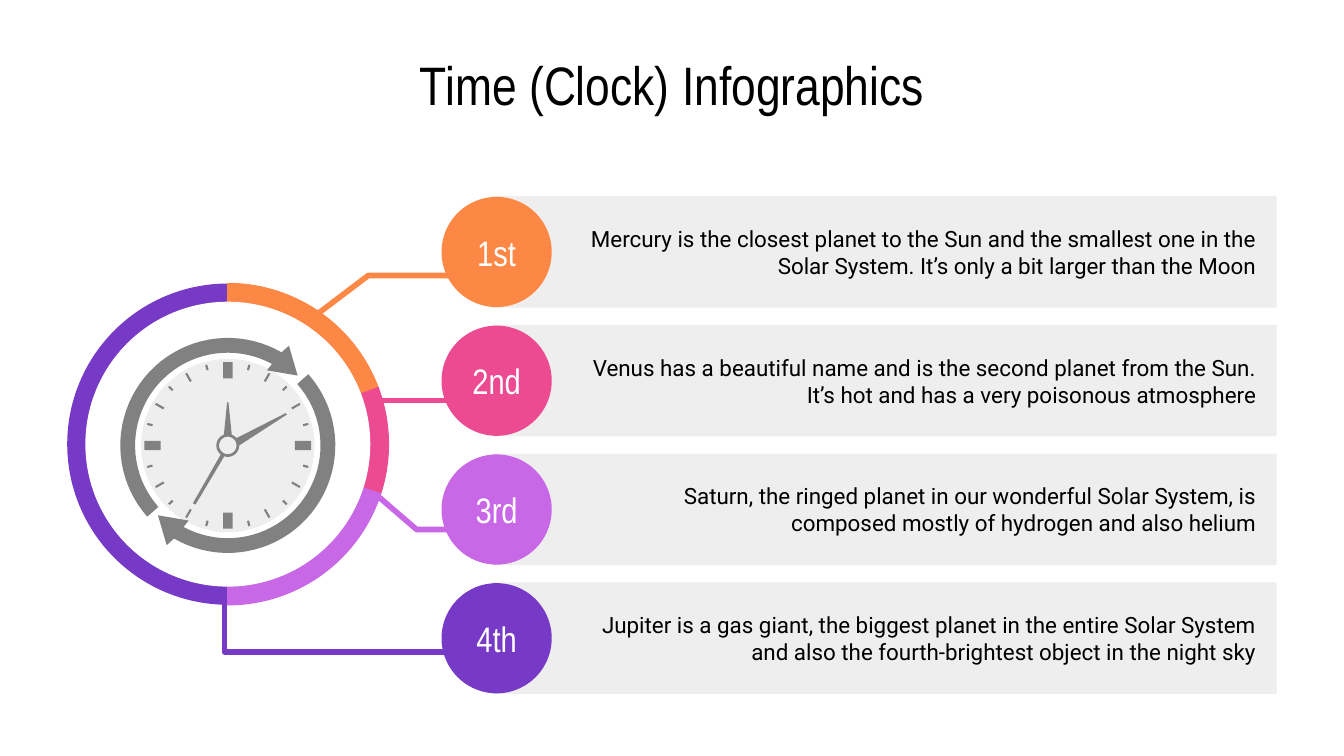
from math import cos, radians, sin

from lxml.etree import SubElement
from pptx import Presentation
from pptx.dml.color import RGBColor
from pptx.enum.shapes import MSO_CONNECTOR, MSO_SHAPE
from pptx.enum.text import MSO_ANCHOR, PP_ALIGN
from pptx.oxml.ns import qn
from pptx.util import Inches, Pt

ORANGE = RGBColor(0xFD, 0x88, 0x45)
PINK = RGBColor(0xEC, 0x4A, 0x91)
VIOLET = RGBColor(0xC8, 0x68, 0xE6)
PURPLE = RGBColor(0x76, 0x3A, 0xC7)
DARK_GRAY = RGBColor(0x81, 0x81, 0x81)
LIGHT_GRAY = RGBColor(0xEE, 0xEE, 0xEE)
WHITE = RGBColor(0xFF, 0xFF, 0xFF)
BLACK = RGBColor(0, 0, 0)

HEADING_FONT, BODY_FONT = "Arial Narrow", "Roboto"

# A 16:9 slide on a grid of square cells, 100 columns wide
SLIDE_WIDTH = Inches(10)
SLIDE_HEIGHT = SLIDE_WIDTH * 9 // 16
CELL = SLIDE_WIDTH / 100

# Label, text, colour, and the bends of the callout line in columns and rows
ITEMS = [
    ("1st", "Mercury is the closest planet to the Sun and the smallest one in the "
     "Solar System. It’s only a bit larger than the Moon",
     ORANGE, [(23.7, 23.3), (27.4, 20.5), (34.6, 20.5)]),
    ("2nd", "Venus has a beautiful name and is the second planet from the Sun. "
     "It’s hot and has a very poisonous atmosphere",
     PINK, [(27.8, 29.8), (34.6, 29.8)]),
    ("3rd", "Saturn, the ringed planet in our wonderful Solar System, is "
     "composed mostly of hydrogen and also helium",
     VIOLET, [(27.4, 36.3), (31, 39.4), (36.4, 39.4)]),
    ("4th", "Jupiter is a gas giant, the biggest planet in the entire Solar System "
     "and also the fourth-brightest object in the night sky",
     PURPLE, [(16.7, 40.4), (16.7, 48.5), (33.3, 48.5)]),
]


def cells(*counts):
    return [round(count * CELL) for count in counts]


def write(shape, text, size, font, color, alignment, left=1, right=1):
    frame = shape.text_frame
    frame.word_wrap = True
    frame.vertical_anchor = MSO_ANCHOR.MIDDLE
    frame.margin_left, frame.margin_right = cells(left, right)
    frame.margin_top, frame.margin_bottom = cells(1, 1)
    paragraph = frame.paragraphs[0]
    paragraph.alignment = alignment
    run = paragraph.add_run()
    run.text = text
    run.font.size = Pt(size)
    run.font.name = font
    run.font.color.rgb = color


def paint(shape, fill, line=None):
    shape.shadow.inherit = False
    shape.fill.solid()
    shape.fill.fore_color.rgb = fill
    if line is None:
        shape.line.fill.background()
    else:
        shape.line.color.rgb = line
        shape.line.width = Pt(0.75)


def add_preset(slide, kind, box, fill):
    shape = slide.shapes.add_shape(kind, *cells(*box))
    paint(shape, fill)
    return shape


def add_disc(slide, center, radius, fill, kind=MSO_SHAPE.OVAL):
    x, y = center
    return add_preset(slide, kind, (x - radius, y - radius, 2 * radius, 2 * radius), fill)


def add_outline(slide, contours, close=True):
    first = contours[0]
    builder = slide.shapes.build_freeform(*cells(*first[0]))
    for contour in contours:
        if contour is not first:
            builder.move_to(*cells(*contour[0]))
        builder.add_line_segments([cells(*point) for point in contour[1:]], close=close)
    return builder.convert_to_shape()


def polar(center, radius, angle):
    """Point at an angle in degrees, clockwise from twelve o'clock."""
    turn = radians(angle)
    return center[0] + radius * sin(turn), center[1] - radius * cos(turn)


def arc(center, radius, start, end, steps=40):
    return [polar(center, radius, start + (end - start) * step / steps)
            for step in range(steps + 1)]


def add_title(slide, box):
    title = slide.shapes.add_textbox(*cells(*box))
    write(title, "Time (Clock) Infographics", 29, HEADING_FONT, BLACK, PP_ALIGN.CENTER)


def add_callout(slide, points, color):
    if len(points) == 2:
        line = slide.shapes.add_connector(
            MSO_CONNECTOR.STRAIGHT, *cells(*points[0], *points[1]))
        SubElement(line._element.spPr, qn("a:effectLst"))
    else:
        line = add_outline(slide, [points], close=False)
        line.fill.background()
        line.shadow.inherit = False
    line.line.color.rgb = color
    line.line.width = Pt(3)


def add_item(slide, box, label, text, color, callout):
    left, top, width, height = box
    # Text bar
    bar = add_preset(slide, MSO_SHAPE.RECTANGLE, box, LIGHT_GRAY)
    write(bar, text, 12, BODY_FONT, BLACK, PP_ALIGN.RIGHT, left=7, right=1.5)
    # Line to the clock, then the badge over its end
    add_callout(slide, callout, color)
    badge = add_disc(slide, (left + 0.35, top + height / 2), 4.1, color)
    write(badge, label, 19, HEADING_FONT, WHITE, PP_ALIGN.CENTER, left=0, right=0)


def add_ring(slide, center, radius):
    inner = radius - 1.85
    ring = add_disc(slide, center, radius, PURPLE, MSO_SHAPE.DONUT)
    ring.adjustments[0] = (radius - inner) / (2 * radius)
    for start, end, color in [(0, 69.4, ORANGE), (69.4, 108, PINK), (108, 180, VIOLET)]:
        sector = arc(center, radius, start, end) + arc(center, inner, end, start)
        paint(add_outline(slide, [sector]), color, color)
    add_disc(slide, center, 10.6, WHITE)


def tick(center, angle):
    """Thick at the quarters, thin at the hours, short between the hours."""
    if angle % 90 == 0:
        inner, half_width = 5, 0.35
    else:
        inner, half_width = (5.5 if angle % 30 == 0 else 5.8), 0.08
    middles = [polar(center, radius, angle) for radius in (inner, 6.2)]
    (ax, ay), (bx, by) = [polar(middle, half_width, angle - 90) for middle in middles]
    (cx, cy), (dx, dy) = [polar(middle, half_width, angle + 90) for middle in middles]
    return [(ax, ay), (bx, by), (dx, dy), (cx, cy)]


def turning_arrow(center, turn):
    head = [polar(center, radius, angle + turn)
            for radius, angle in [(8.7, 211.5), (7.35, 225), (6.3, 207.5)]]
    return (arc(center, 8, 48.5 + turn, 210 + turn) + head
            + arc(center, 6.9, 208.5 + turn, 48.5 + turn))


def hands(center):
    def shift(*points):
        return [(center[0] + x, center[1] + y) for x, y in points]
    hub = 0.85
    return (shift((-0.05, -3.2), (0.05, -3.2), (0.3, -0.75)) + arc(center, hub, 25, 50, 8)
            + shift((4.3, -2.4), (4.4, -2.3)) + arc(center, hub, 90, 198, 20)
            + shift((-2.4, 4.4), (-2.6, 4.3)) + arc(center, hub, 218, 340, 20))


def add_dial(slide, center):
    add_disc(slide, center, 6.45, LIGHT_GRAY)
    contours = [turning_arrow(center, turn) for turn in (0, 180)]
    contours += [tick(center, angle) for angle in range(0, 360, 15)]
    contours += [hands(center), arc(center, 0.65, 360, 0)]
    paint(add_outline(slide, contours), DARK_GRAY)


def add_clock(slide, box):
    left, top, size = box
    center = (left + size / 2, top + size / 2)
    add_ring(slide, center, size / 2)
    add_dial(slide, (center[0], center[1] + 0.1))


def main():
    presentation = Presentation()
    presentation.slide_width, presentation.slide_height = SLIDE_WIDTH, SLIDE_HEIGHT
    slide = presentation.slides.add_slide(presentation.slide_layouts[6])
    add_title(slide, (5, 4.7, 90, 3.1))
    for row, item in enumerate(ITEMS):
        add_item(slide, (36.6, 14.6 + 9.58 * row, 58.4, 8.3), *item)
    add_clock(slide, (5, 21.1, 23.9))
    presentation.save("out.pptx")


if __name__ == "__main__":
    main()
